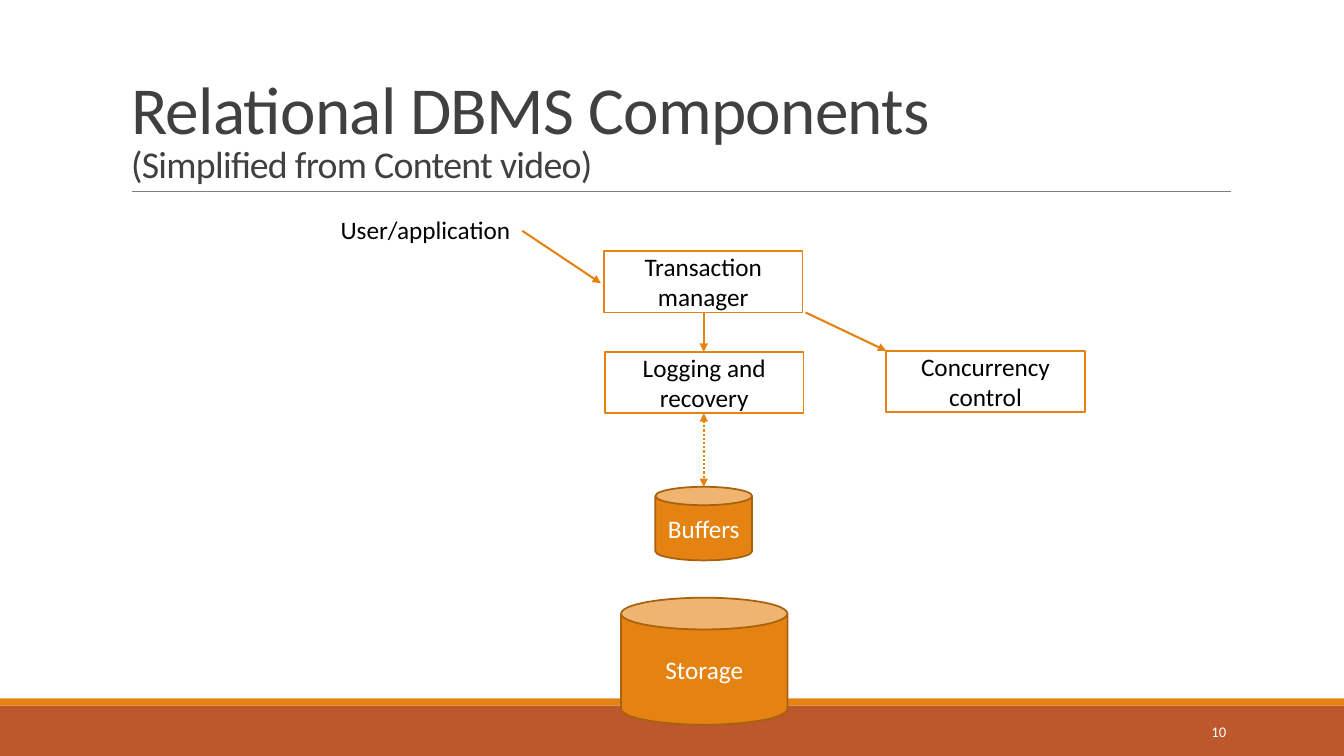
from pptx import Presentation
from pptx.dml.color import RGBColor
from pptx.enum import dml, shapes, text
from pptx.oxml import xmlchemy
from pptx.util import Inches, Pt

ORANGE = RGBColor(0xE4, 0x83, 0x12)
DARK_ORANGE = RGBColor(0xA9, 0x61, 0x0D)
RUST = RGBColor(0xBD, 0x58, 0x2C)
GRAY = RGBColor(0x80, 0x80, 0x80)
CHARCOAL = RGBColor(0x40, 0x40, 0x40)
WHITE = RGBColor(0xFF, 0xFF, 0xFF)
BLACK = RGBColor(0, 0, 0)

FONT = "Calibri"
TITLE = "Relational DBMS Components "
SUBTITLE = "(Simplified from Content video)"
PAGE = "10"
USER = "User/application"
BOX_SIZE = (1.97, 0.61)
BOXES = [
    ("Transaction manager", 5.99, 2.49),
    ("Logging and recovery", 6, 3.49),
    ("Concurrency control", 8.79, 3.48),
]
CANS = [
    ("Storage", (6.16, 5.93, 1.65, 1.26)),
    ("Buffers", (6.5, 4.83, 0.96, 0.73)),
]
ARROWS = [
    ((5.18, 2.29), (5.96, 2.81), False),
    ((6.98, 3.1), (6.98, 3.49), False),
    ((7.99, 3.1), (8.79, 3.48), False),
    ((6.98, 4.1), (6.98, 4.83), True),
]
BANDS = [((0, 7, 13.33, 0.5), RUST), ((0, 6.93, 13.33, 0.07), ORANGE)]


def style(p, size, color, align=text.PP_ALIGN.LEFT):
    p.alignment = align
    for r in p.runs:
        r.font.name = FONT
        r.font.size = Pt(size)
        r.font.color.rgb = color


def add_shape(s, kind, box, fill, line=None):
    sp = s.shapes.add_shape(kind, *map(Inches, box))
    sp.shadow.inherit = False
    sp.fill.solid()
    sp.fill.fore_color.rgb = fill
    if line is None:
        sp.line.fill.background()
    else:
        sp.line.color.rgb = line
        sp.line.width = Pt(1.25)
    return sp


def add_label(sp, label, color):
    tf = sp.text_frame
    tf.word_wrap = True
    tf.vertical_anchor = text.MSO_ANCHOR.MIDDLE
    tf.text = label
    style(tf.paragraphs[0], 18, color, text.PP_ALIGN.CENTER)


def add_line(s, start, end, color, width):
    line = s.shapes.add_connector(
        shapes.MSO_CONNECTOR.STRAIGHT, *map(Inches, start + end))
    line.line.color.rgb = color
    line.line.width = Pt(width)
    line._element.spPr.append(xmlchemy.OxmlElement("a:effectLst"))
    return line


def add_arrowhead(line, end):
    head = xmlchemy.OxmlElement(f"a:{end}")
    head.set("type", "triangle")
    line.line._get_or_add_ln().append(head)


def add_text(s, box, label, size, color, align=text.PP_ALIGN.LEFT):
    tf = s.shapes.add_textbox(*map(Inches, box)).text_frame
    tf.text = label
    style(tf.paragraphs[0], size, color, align)
    return tf


def add_title(s):
    title = s.shapes.title
    title.left, title.top, title.width, title.height = map(
        Inches, (1.2, 0.31, 11, 1.59))
    tf = title.text_frame
    tf.text = f"{TITLE}\v{SUBTITLE}"
    tf.word_wrap = True
    tf.auto_size = text.MSO_AUTO_SIZE.NONE
    tf.vertical_anchor = text.MSO_ANCHOR.BOTTOM
    p = tf.paragraphs[0]
    p.line_spacing = 0.85
    style(p, 48, CHARCOAL)
    p.runs[1].font.size = Pt(27)
    for r in p.runs:
        r.font._element.set("spc", "-50")


def main():
    prs = Presentation()
    prs.slide_width, prs.slide_height = Inches(13.33), Inches(7.5)
    s = prs.slides.add_slide(prs.slide_layouts[5])

    for box, color in BANDS:
        add_shape(s, shapes.MSO_SHAPE.RECTANGLE, box, color)
    add_line(s, (1.31, 1.9), (12.21, 1.9), GRAY, 0.5)
    add_title(s)
    tf = add_text(s, (10.83, 7.06, 1.43, 0.4), PAGE, 10.5, WHITE,
                  text.PP_ALIGN.RIGHT)
    tf.word_wrap = True
    tf.vertical_anchor = text.MSO_ANCHOR.MIDDLE

    for label, left, top in BOXES:
        sp = add_shape(s, shapes.MSO_SHAPE.RECTANGLE, (left, top, *BOX_SIZE),
                       WHITE, ORANGE)
        add_label(sp, label, BLACK)
    for label, box in CANS:
        sp = add_shape(s, shapes.MSO_SHAPE.CAN, box, ORANGE, DARK_ORANGE)
        add_label(sp, label, WHITE)

    tf = add_text(s, (3.28, 2.08, 1.9, 0.4), USER, 18, BLACK)
    tf.word_wrap = False
    tf.auto_size = text.MSO_AUTO_SIZE.SHAPE_TO_FIT_TEXT

    for start, end, two_way in ARROWS:
        arrow = add_line(s, start, end, ORANGE, 1.5)
        if two_way:
            arrow.line.dash_style = dml.MSO_LINE.ROUND_DOT
            add_arrowhead(arrow, "headEnd")
        add_arrowhead(arrow, "tailEnd")

    prs.save("out.pptx")


if __name__ == "__main__":
    main()
